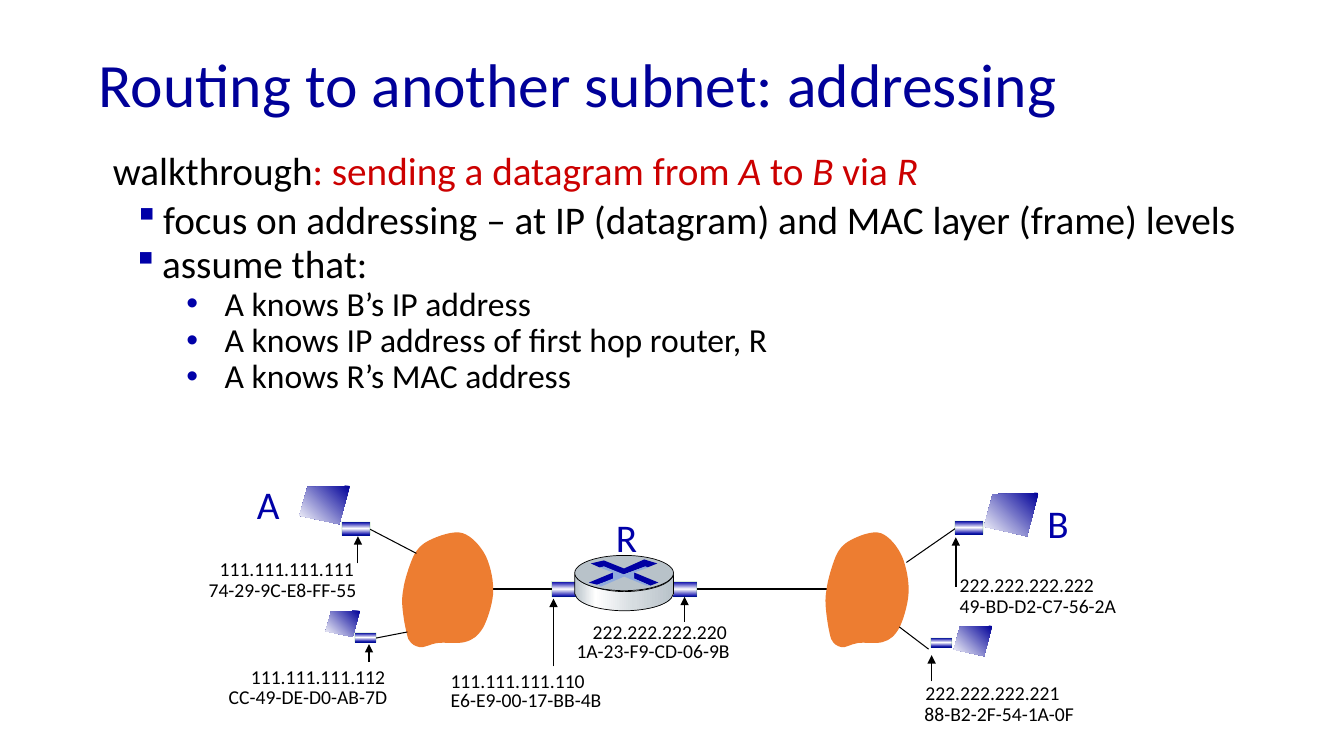
from dataclasses import dataclass

from lxml import etree
from pptx import Presentation
from pptx import util as u
from pptx.dml.color import RGBColor
from pptx.enum import shapes, text
from pptx.oxml.ns import qn


@dataclass(frozen=True)
class Theme:
    face: str = "Calibri"
    ink: str = "000000"
    title: str = "000099"
    blue: str = "0000A8"
    cross: str = "0000A3"
    glow: str = "8FAADC"
    red: str = "CC0000"
    cloud: str = "ED7D31"
    steel: str = "B8C2C9"
    edge: str = "008000"
    head: int = 44
    body: int = 28
    sub: int = 24
    small: int = 14
    band: tuple = ((0, "0000A8"), (50, "FFFFFF"), (99, "0000A8"))
    screen: tuple = ((0, "000099"), (100, "FFFFFF"))
    metal: tuple = ((0, "B8C2C9"), (21, "FFFFFF"), (60, "D6DCE0"), (100, "B8C2C9"))


T = Theme()
SQUARE = ("Wingdings", "§")
DOT = ("Arial", "•")

# Curved outlines list a start point, then three points per cubic segment.
CLOUD = [(28, 10), (20, 14), (16, 18), (12, 26), (8, 35), (3, 50), (2, 59),
         (0, 69), (1, 76), (2, 84), (3, 92), (5, 102), (7, 108),
         (10, 113), (13, 115), (18, 116), (23, 117), (28, 113), (36, 112),
         (43, 111), (56, 113), (63, 111), (71, 109), (76, 105), (81, 97),
         (85, 90), (90, 75), (91, 64), (92, 52), (89, 37), (84, 26),
         (79, 16), (70, 6), (61, 3), (52, 0), (36, 6), (28, 10)]
SIDE = [(98, 20), (98, 39), (98, 39), (98, 39), (95, 52), (66, 56), (49, 56),
        (33, 56), (3, 52), (0, 39), (0, 20), (0, 20), (0, 20),
        (4, 31), (32, 37), (49, 37), (65, 37), (94, 33), (98, 20)]
CROSS = [
    (T.cross, [(69, 5), (82, 9), (72, 13), (70, 12), (48, 20), (29, 12),
               (25, 13), (16, 9), (29, 6), (49, 14)]),
    (T.cross, [(59, 18), (83, 28), (75, 31), (59, 24)]),
    (T.blue, [(38, 18), (38, 25), (22, 30), (14, 28)]),
    (T.glow, [(25, 13), (29, 12), (49, 20), (70, 12), (73, 13), (59, 18), (59, 24),
              (75, 31), (71, 31), (49, 22), (26, 32), (23, 30), (38, 24), (38, 18)]),
]
SCREEN = [(1, 0), (0.16, 0.03), (0, 0.78), (0.79, 1)]

TRUNK = (47, 58.4, 82.3, 58.4)
WIRES = [(36.5, 52.4, 41.3, 54.9), (37.3, 63.3, 40.4, 62.7),
         (89.9, 55.8, 94.8, 52.4), (92.1, 64.4, 89.2, 62.2)]
PORTS = [(66.3, 57.7, 2.8, 1.5), (54.7, 57.7, 2.8, 1.5)]
CARDS = [(33.9, 51.8, 2.8, 1.3), (35.2, 62.8, 2.1, 0.9),
         (94.7, 51.7, 2.8, 1.3), (92.3, 63.3, 2.1, 0.9)]
HOSTS = [(29.7, 48.2, 5, 3.8), (32.3, 60.6, 3.4, 2.6),
         (97.6, 48.9, 5.4, 4.3), (94.6, 62.1, 3.8, 3)]
ARROWS = [(36.6, 65.7, 63.9, 0.75), (35.5, 55.9, 53.2, 0.75), (54.9, 66.1, 59.4, 0.75),
          (67.9, 61.7, 59.2, 0.75), (94.8, 58.2, 53.3, 1), (92.4, 67.6, 65, 1)]
NAMES = [("R", 60.1, 50.4), ("A", 24.5, 47.2), ("B", 102.9, 49)]
LABELS = [("222.222.222.220", 57.8, 61, 15.5), ("1A-23-F9-CD-06-9B", 56.2, 62.9, 17.3),
          ("111.111.111.110", 43.7, 65.9, 15.5), ("E6-E9-00-17-BB-4B", 43.7, 67.8, 17.1),
          ("111.111.111.112", 23.9, 65.5, 15.5), ("CC-49-DE-D0-AB-7D", 21.7, 67.5, 17.9),
          ("111.111.111.111", 20.8, 54.8, 15.5), ("74-29-9C-E8-FF-55", 19.7, 56.8, 16.8),
          ("222.222.222.222", 94.2, 56.3, 15.5), ("49-BD-D2-C7-56-2A", 94.2, 58.4, 17.7),
          ("222.222.222.221", 90.8, 67.1, 15.5), ("88-B2-2F-54-1A-0F", 90.7, 69.1, 17)]


def cell(n):
    """Length of n grid cells; ten cells make an inch."""
    return u.Inches(n / 10)


def rgb(code):
    return RGBColor.from_string(code)


def paint(shape, fill, angle=0, line=None, width=0.5):
    """Fill with a colour, or with stops at a counter-clockwise angle."""
    shape.shadow.inherit = False
    if isinstance(fill, str):
        shape.fill.solid()
        shape.fill.fore_color.rgb = rgb(fill)
    else:
        shape.fill.gradient()
        shape.fill.gradient_angle = angle
        stops = shape._element.spPr.find(".//" + qn("a:gsLst"))
        for old in list(stops):
            stops.remove(old)
        for pos, code in fill:
            stop = etree.SubElement(stops, qn("a:gs"), pos=str(pos * 1000))
            etree.SubElement(stop, qn("a:srgbClr"), val=code)
    if line:
        shape.line.color.rgb = rgb(line)
        shape.line.width = u.Pt(width)
    else:
        shape.line.fill.background()


def outline(slide, pts, x, y, kx=0.1, ky=0.1):
    """Closed shape at cell x, y, its points scaled by kx and ky."""
    spots = [(cell(x + a * kx), cell(y + b * ky)) for a, b in pts]
    form = slide.shapes.build_freeform(*spots[0], scale=1.0)
    form.add_line_segments(spots[1:], close=True)
    return form.convert_to_shape()


def curve(slide, knots, x, y, kx=0.1):
    """Outline whose points are joined by cubic curves."""
    shape = outline(slide, knots, x, y, kx)
    legs = shape._element.spPr.findall(".//" + qn("a:lnTo"))
    for i in range(0, len(legs), 3):
        first, *rest = legs[i:i + 3]
        straight = len(set(knots[i + 1:i + 4])) == 1
        if not straight:
            bend = etree.Element(qn("a:cubicBezTo"))
            first.addprevious(bend)
            for leg in (first, *rest):
                bend.append(leg[0])
            rest.append(first)
        for leg in rest:
            leg.getparent().remove(leg)
    return shape


def preset(slide, kind, box):
    return slide.shapes.add_shape(kind, *map(cell, box))


def port(slide, box):
    rect = preset(slide, shapes.MSO_SHAPE.RECTANGLE, box)
    paint(rect, T.band, 270, T.edge, 0.75)
    tint = rect.line._ln.find(".//" + qn("a:srgbClr"))
    etree.SubElement(tint, qn("a:alpha"), val="15000")


def wire(slide, ends, width=0.75, arrow=False):
    line = slide.shapes.add_connector(shapes.MSO_CONNECTOR.STRAIGHT, *map(cell, ends))
    line.line.color.rgb = rgb(T.ink)
    line.line.width = u.Pt(width)
    if arrow:
        etree.SubElement(line.line._ln, qn("a:tailEnd"), type="triangle")
    etree.SubElement(line._element.spPr, qn("a:effectLst"))


def frame(slide, box, wrap=True):
    area = slide.shapes.add_textbox(*map(cell, box)).text_frame
    area.word_wrap = wrap
    return area


def style(para, size, color=T.ink):
    para.font.name = T.face
    para.font.size = u.Pt(size)
    para.font.color.rgb = rgb(color)


def label(slide, words, box, size, color=T.ink):
    para = frame(slide, box, wrap=False).paragraphs[0]
    para.text = words
    style(para, size, color)


def bullet(para, words, level, mark, left, hang, size, before=0):
    para.text = words
    para.level = level
    para.line_spacing = 0.9
    para.space_before = u.Pt(before)
    props = para._p.get_or_add_pPr()
    props.set("marL", str(cell(left)))
    props.set("indent", str(-cell(hang)))
    tint = etree.SubElement(props, qn("a:buClr"))
    etree.SubElement(tint, qn("a:srgbClr"), val=T.blue)
    face, sign = mark
    etree.SubElement(props, qn("a:buFont"), typeface=face)
    etree.SubElement(props, qn("a:buChar"), char=sign)
    style(para, size)


def write(slide):
    area = frame(slide, (8.8, 3.8, 115, 9.8))
    area.vertical_anchor = text.MSO_ANCHOR.MIDDLE
    para = area.paragraphs[0]
    para.text = "Routing to another subnet: addressing"
    para.line_spacing = 0.9
    style(para, T.head, T.title)

    area = frame(slide, (10.2, 14.5, 118.5, 13.1))
    para = area.paragraphs[0]
    para.line_spacing = 0.9
    style(para, T.body)
    parts = ["walkthrough", ": sending a datagram from ", "A", " to ", "B", " via ", "R"]
    for i, part in enumerate(parts):
        run = para.add_run()
        run.text = part
        if i:
            run.font.color.rgb = rgb(T.red)
            run.font.italic = i % 2 == 0
    bullet(area.add_paragraph(),
           "focus on addressing – at IP (datagram) and MAC layer (frame) levels",
           1, SQUARE, 5, 2.5, T.body, 5)

    area = frame(slide, (10.1, 23.8, 111.5, 17.3))
    bullet(area.paragraphs[0], "assume that:", 1, SQUARE, 5, 2.5, T.body)
    for fact in ("B’s IP address", "IP address of first hop router, R", "R’s MAC address"):
        bullet(area.add_paragraph(), "A knows " + fact, 2, DOT, 11.2, 3.8, T.sub)


def router(slide, x, y):
    paint(curve(slide, SIDE, x, y), T.metal, 0, T.ink)
    lid = preset(slide, shapes.MSO_SHAPE.OVAL, (x, y + 0.1, 9.8, 3.5))
    paint(lid, T.steel, line=T.ink)
    for color, pts in CROSS:
        paint(outline(slide, pts, x, y), color)


def draw(slide):
    wire(slide, TRUNK, 1.25)
    for x, wide in ((39.8, 9.2), (81.8, 8.4)):
        paint(curve(slide, CLOUD, x, 52.6, wide / 92), T.cloud)
    for ends in WIRES:
        wire(slide, ends)
    for box in PORTS:
        port(slide, box)
    router(slide, 57, 55)
    for box in CARDS:
        port(slide, box)
    for host in HOSTS:
        paint(outline(slide, SCREEN, *host), T.screen, 225)
    for name, x, y in NAMES:
        label(slide, name, (x, y, 4.2, 5.7), T.body, T.blue)
    for words, x, y, wide in LABELS:
        label(slide, words, (x, y, wide, 3.4), T.small)
    for x, low, high, width in ARROWS:
        wire(slide, (x, low, x, high), width, arrow=True)


def main():
    deck = Presentation()
    deck.slide_width, deck.slide_height = u.Inches(13.33), u.Inches(7.5)
    slide = deck.slides.add_slide(deck.slide_layouts[6])
    write(slide)
    draw(slide)
    deck.save("out.pptx")


if __name__ == "__main__":
    main()
